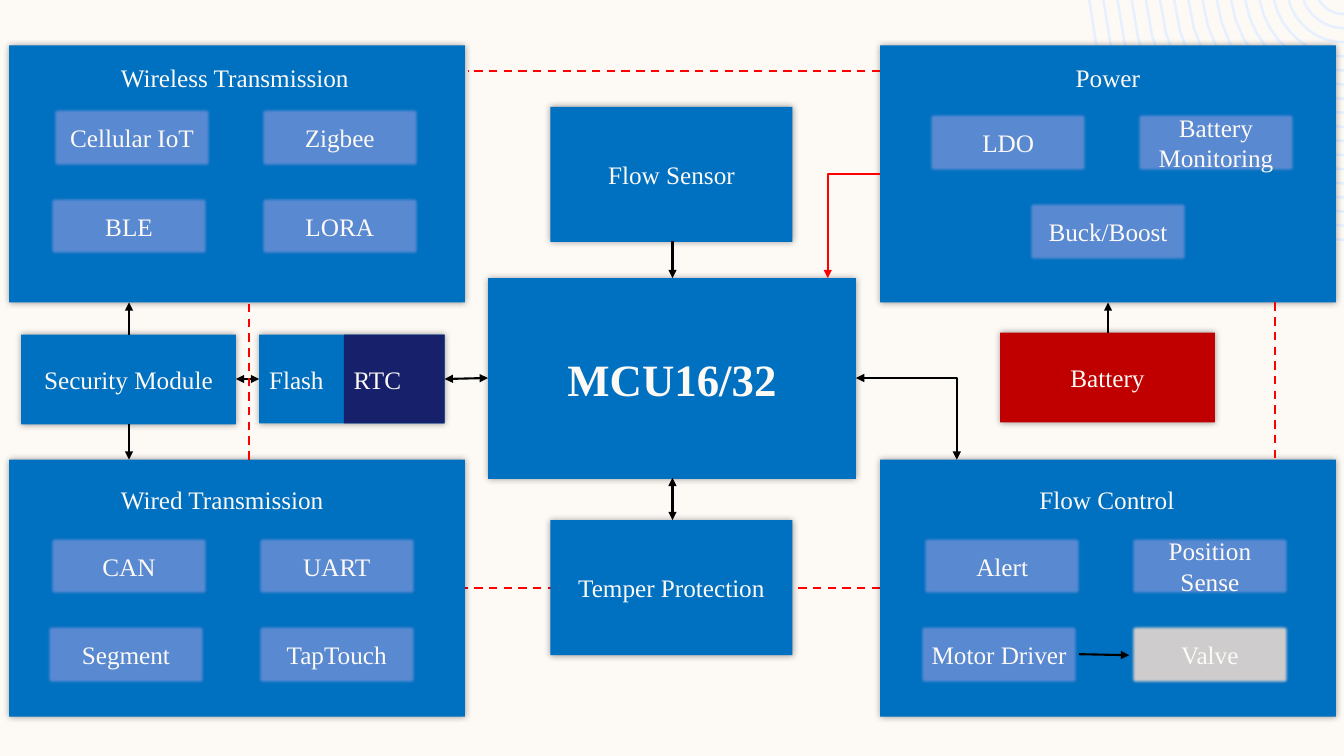
from math import asin, cos, pi, sin

from lxml import etree
from pptx import Presentation
from pptx.dml.color import RGBColor
from pptx.enum.dml import MSO_LINE
from pptx.enum.shapes import MSO_CONNECTOR as Connector, MSO_SHAPE as Shape
from pptx.enum.text import MSO_ANCHOR as Anchor, PP_ALIGN as Align
from pptx.oxml.ns import qn
from pptx.util import Inches, Pt

COLORS = {
    "background": "FDFAF6", "text": "FDFAF6", "block": "0070C0", "chip": "5B8BD3",
    "valve": "D0CECE", "battery": "C00000", "clock": "17216B", "rings": "E6F0FE",
    "signal": "000000", "supply": "FF0000",
}
FONT = "Times New Roman"
PANEL_SIZE = (4.52, 2.55)
CHIP_SIZE = (1.6, 0.61)
COLUMN_STEP, ROW_STEP = 2.06, 0.88


def color(name):
    return RGBColor.from_string(COLORS[name])


def write_text(shape, text, size=18, bold=False, align=Align.CENTER, wrap=True):
    frame = shape.text_frame
    frame.word_wrap = wrap
    frame.vertical_anchor = Anchor.MIDDLE
    paragraph = frame.paragraphs[0]
    paragraph.alignment = align
    run = paragraph.add_run()
    run.text = text
    run.font.name = FONT
    run.font.size = Pt(size)
    run.font.bold = bold
    run.font.color.rgb = color("text")


def add_effect(shape, name, **attributes):
    effects = shape._element.spPr.find(qn("a:effectLst"))
    return etree.SubElement(effects, qn(name), **attributes)


def add_shadow(shape):
    shadow = add_effect(shape, "a:outerShdw", blurRad=str(Pt(5)), dist="0",
                        algn="ctr", rotWithShape="0")
    black = etree.SubElement(shadow, qn("a:srgbClr"), val="000000")
    etree.SubElement(black, qn("a:alpha"), val="40000")


def draw_rectangle(slide, box, fill, text="", **text_format):
    shape = slide.shapes.add_shape(Shape.RECTANGLE, *map(Inches, box))
    shape.shadow.inherit = False
    shape.fill.solid()
    shape.fill.fore_color.rgb = color(fill)
    shape.line.fill.background()
    if text:
        write_text(shape, text, **text_format)
    return shape


def draw_block(slide, box, text="", fill="block", **text_format):
    add_shadow(draw_rectangle(slide, box, fill, text, **text_format))


def draw_chip(slide, left, top, text, fill="chip"):
    chip = draw_rectangle(slide, (left, top, *CHIP_SIZE), fill, text)
    add_effect(chip, "a:softEdge", rad=str(Pt(2.5)))


def draw_panel(slide, box, title, title_offset, title_width, chips, grid, lower_shift=-0.03):
    left, top = box[:2]
    draw_block(slide, box)
    title_left, title_top = title_offset
    heading = slide.shapes.add_textbox(Inches(left + title_left), Inches(top + title_top),
                                       Inches(title_width), Inches(0.4))
    write_text(heading, title, align=Align.LEFT, wrap=False)
    grid_left, grid_top = grid
    for index, name in enumerate(chips):
        row, column = divmod(index, 2)
        shift = lower_shift if row and not column else 0
        draw_chip(slide, left + grid_left + column * COLUMN_STEP + shift,
                  top + grid_top + row * ROW_STEP, name,
                  "valve" if name == "Valve" else "chip")


def draw_memory(slide, box):
    left, top, width, height = box
    clock_width = 1
    draw_block(slide, box, "Flash", align=Align.LEFT)
    draw_rectangle(slide, (left + width - clock_width, top, clock_width, height),
                   "clock", "RTC", align=Align.LEFT)


def draw_line(slide, start, end, role="signal", arrows=(), dashed=False, bent=False):
    kind = Connector.ELBOW if bent else Connector.STRAIGHT
    connector = slide.shapes.add_connector(kind, *map(Inches, (*start, *end)))
    properties = connector._element.spPr
    if bent:
        properties.find(qn("a:prstGeom")).set("prst", "bentConnector2")
    connector.line.color.rgb = color(role)
    connector.line.width = Pt(1.5)
    if dashed:
        connector.line.dash_style = MSO_LINE.DASH
    outline = properties.find(qn("a:ln"))
    for end_name in arrows:
        etree.SubElement(outline, qn(f"a:{end_name}"), type="triangle")
    etree.SubElement(properties, qn("a:effectLst"))


def arc(center_x, center_y, radius, steps=8):
    first = asin(-center_y / radius)
    angles = [first + (pi / 2 - first) * step / steps for step in range(steps + 1)]
    return [(Inches(center_x - radius * cos(angle)), Inches(center_y + radius * sin(angle)))
            for angle in angles]


def draw_rings(slide, box):
    left, _, width, height = box
    builder = None
    for index in range(17):
        points = arc(left + width, height - width, width - 0.01 - 0.14 * index)
        if builder is None:
            builder = slide.shapes.build_freeform(*points[0], scale=1.0)
        else:
            builder.move_to(*points[0])
        builder.add_line_segments(points[1:], close=False)
    rings = builder.convert_to_shape()
    rings.shadow.inherit = False
    rings.fill.background()
    rings.line.color.rgb = color("rings")
    rings.line.width = Pt(1.8)


def draw_panels(slide):
    draw_panel(slide, (0.09, 0.45, *PANEL_SIZE), "Wireless Transmission", (1.01, 0.12), 2.49,
               ["Cellular IoT", "Zigbee", "BLE", "LORA"], (0.42, 0.61))
    draw_panel(slide, (0.09, 4.56, *PANEL_SIZE), "Wired Transmission", (1.01, 0.19), 2.23,
               ["CAN", "UART", "Segment", "TapTouch"], (0.39, 0.75))
    draw_panel(slide, (8.73, 0.45, *PANEL_SIZE), "Power", (1.84, 0.12), 0.85,
               ["LDO", "Battery Monitoring", "Buck/Boost"], (0.47, 0.66), lower_shift=0.99)
    draw_panel(slide, (8.73, 4.56, *PANEL_SIZE), "Flow Control", (1.48, 0.2), 1.56,
               ["Alert", "Position Sense", "Motor Driver", "Valve"], (0.41, 0.75))


def draw_modules(slide):
    draw_block(slide, (4.84, 2.76, 3.65, 1.99), "MCU16/32", size=32, bold=True)
    draw_block(slide, (5.46, 1.06, 2.4, 1.34), "Flow Sensor")
    draw_block(slide, (5.46, 5.16, 2.4, 1.34), "Temper Protection")
    draw_block(slide, (0.21, 3.32, 2.13, 0.89), "Security Module")
    draw_block(slide, (9.92, 3.3, 2.13, 0.89), "Battery", fill="battery")
    draw_memory(slide, (2.57, 3.32, 1.84, 0.88))


def draw_links(slide):
    one_way, two_way = ("tailEnd",), ("headEnd", "tailEnd")
    for start, end, arrows in [
        ((6.67, 2.39), (6.67, 2.76), one_way),
        ((10.99, 3.3), (10.99, 3), one_way),
        ((10.7, 6.49), (11.2, 6.5), one_way),
        ((1.28, 4.21), (1.28, 4.56), one_way),
        ((1.28, 3.32), (1.28, 3), one_way),
        ((6.67, 5.16), (6.67, 4.74), two_way),
        ((4.41, 3.76), (4.84, 3.75), two_way),
        ((2.57, 3.76), (2.34, 3.76), two_way),
    ]:
        draw_line(slide, start, end, arrows=arrows)
    draw_line(slide, (8.49, 3.75), (9.49, 4.56), arrows=two_way, bent=True)
    for start, end in [((8.73, 0.7), (4.64, 0.7)), ((12.65, 3), (12.65, 4.56)),
                       ((2.47, 4.56), (2.47, 3))]:
        draw_line(slide, start, end, "supply", dashed=True)
    draw_line(slide, (8.73, 1.73), (8.21, 2.76), "supply", arrows=one_way, bent=True)


def main():
    presentation = Presentation()
    presentation.slide_width, presentation.slide_height = Inches(13.33), Inches(7.5)
    slide = presentation.slides.add_slide(presentation.slide_layouts[6])
    slide.background.fill.solid()
    slide.background.fill.fore_color.rgb = color("background")
    draw_rings(slide, (10.79, 0, 2.54, 2.39))
    draw_line(slide, (8.73, 5.83), (4.6, 5.83), "supply", dashed=True)
    draw_panels(slide)
    draw_modules(slide)
    draw_links(slide)
    presentation.save("out.pptx")


if __name__ == "__main__":
    main()
